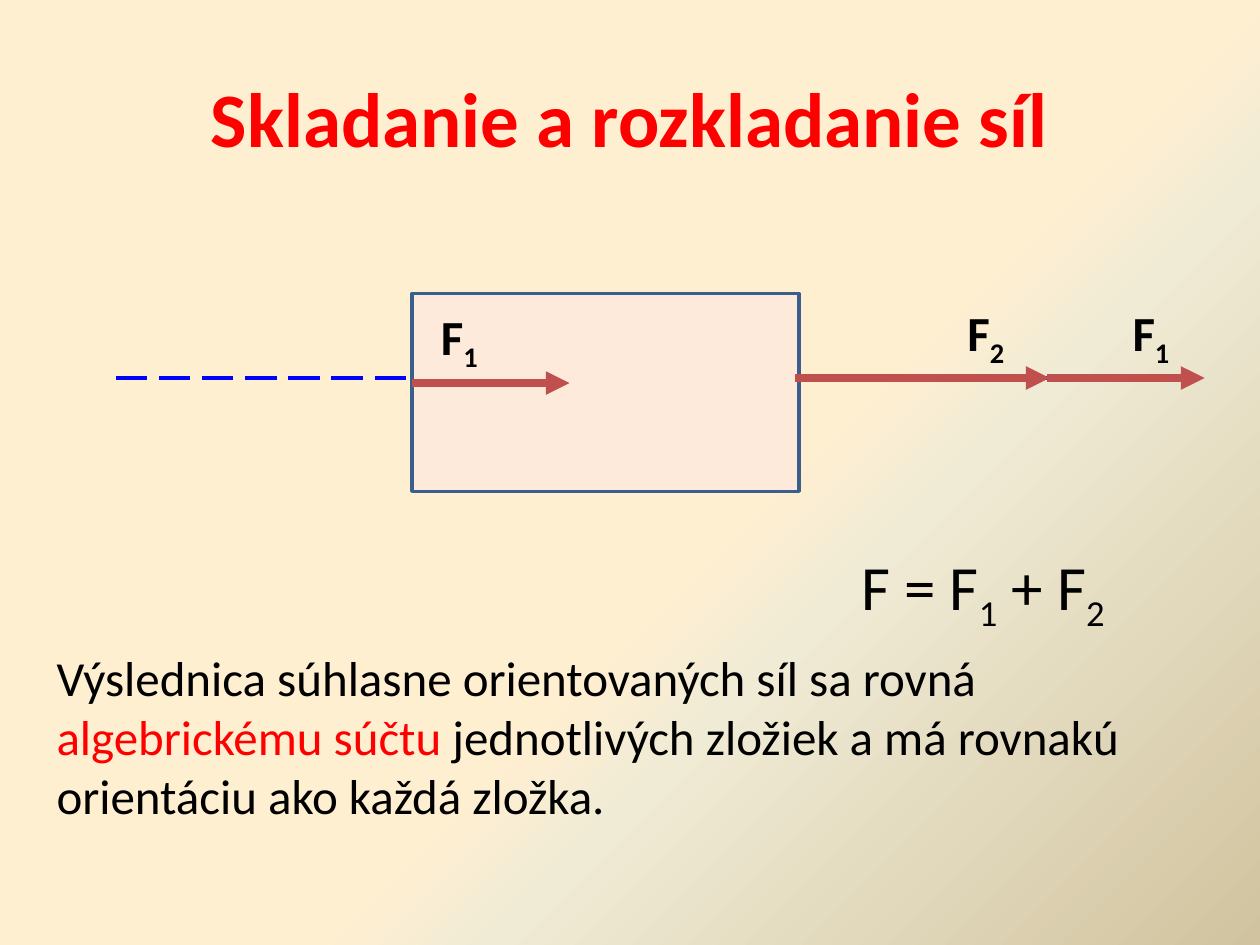
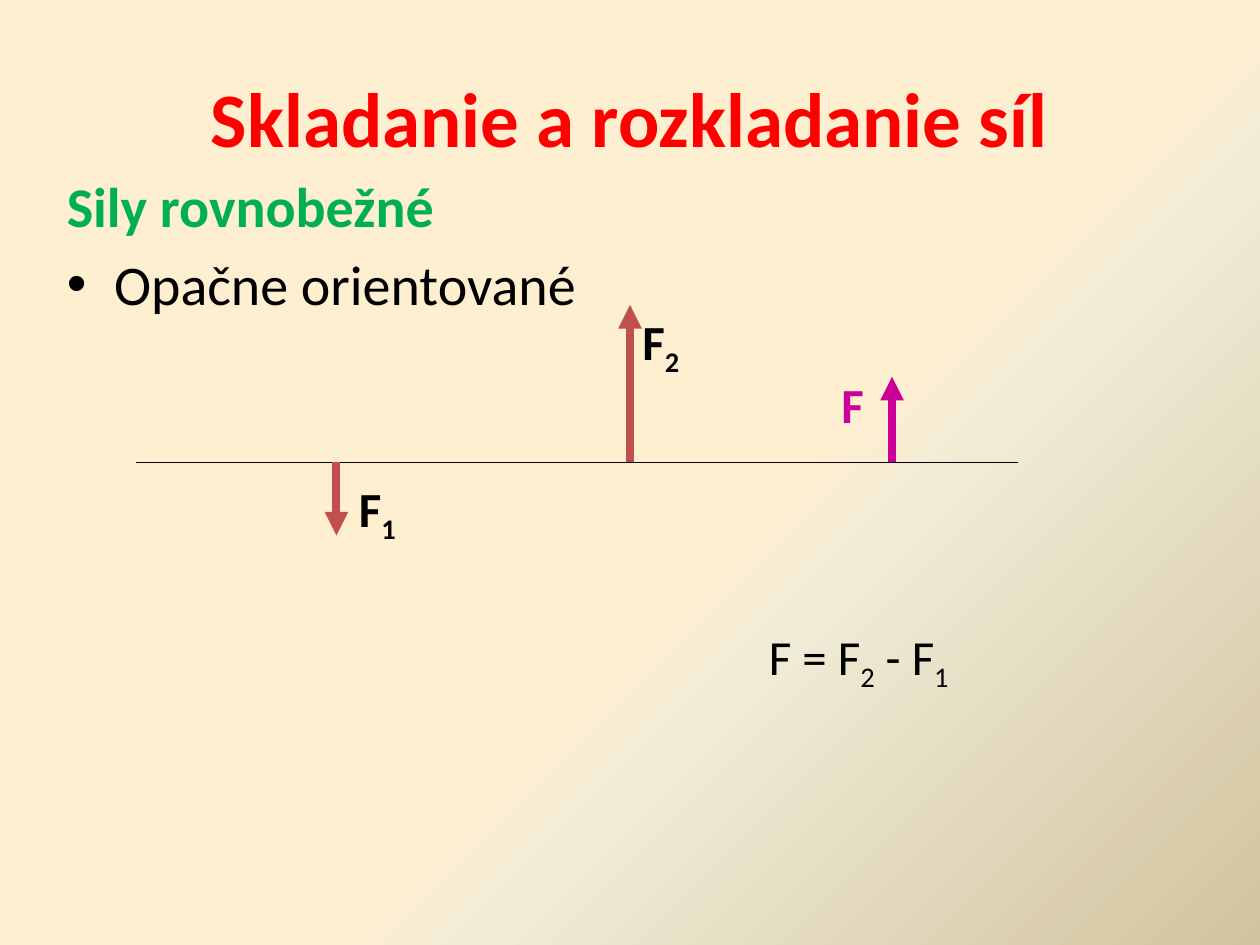
from itertools import groupby

from lxml import etree
from pptx import Presentation
from pptx.dml.color import RGBColor
from pptx.enum.dml import MSO_LINE
from pptx.enum.shapes import MSO_CONNECTOR, MSO_SHAPE
from pptx.enum.text import MSO_ANCHOR, MSO_AUTO_SIZE, PP_ALIGN
from pptx.oxml import parse_xml
from pptx.oxml.ns import nsdecls, qn
from pptx.util import Inches, Pt

STRAIGHT = MSO_CONNECTOR.STRAIGHT
RECTANGLE = MSO_SHAPE.RECTANGLE
LONG_DASH = MSO_LINE.LONG_DASH
CENTER, LEFT = PP_ALIGN.CENTER, PP_ALIGN.LEFT
MIDDLE = MSO_ANCHOR.MIDDLE
GROW = MSO_AUTO_SIZE.SHAPE_TO_FIT_TEXT

FONT = "Calibri"
BLACK, RED, GREEN, BLUE = "000000", "FF0000", "00B050", "0000FF"
FORCE, RESULTANT = "C0504D", "CC0099"
BLOCK_FILL, BLOCK_LINE = "FDEADA", "3A5F8C"
GRADIENT = [(57, "FFEFD1"), (65, "F0EBD5"), (100, "D1C39F")]
TITLE = "Skladanie a rozkladanie síl"
TITLE_AND_BODY, TITLE_ONLY = 1, 5


def color(hex_value):
    return RGBColor.from_string(hex_value)


def set_background(master):
    """Give every slide the diagonal sand gradient."""
    fill = master.background.fill
    fill.gradient()
    fill.gradient_angle = 315
    stops = "".join(
        f'<a:gs pos="{position * 1000}"><a:srgbClr val="{hex_value}"/></a:gs>'
        for position, hex_value in GRADIENT
    )
    stop_list = next(master.element.iter(qn("a:gsLst")))
    stop_list.getparent().replace(
        stop_list, parse_xml(f'<a:gsLst {nsdecls("a")}>{stops}</a:gsLst>')
    )


def format_run(run, size, hex_value=BLACK, bold=False):
    run.font.name = FONT
    run.font.size = Pt(size)
    run.font.bold = bold
    run.font.color.rgb = color(hex_value)


def place(shape, left, top, width, height):
    shape.left, shape.top = Inches(left), Inches(top)
    shape.width, shape.height = Inches(width), Inches(height)


def add_titled_slide(presentation, layout_index):
    slide = presentation.slides.add_slide(presentation.slide_layouts[layout_index])
    title = slide.shapes.title
    place(title, 0.5, 0.3, 9, 1.25)
    title.text_frame.text = TITLE
    title.text_frame.vertical_anchor = MIDDLE
    paragraph = title.text_frame.paragraphs[0]
    paragraph.alignment = CENTER
    format_run(paragraph.runs[0], 44, RED, True)
    return slide


def add_text_box(slide, left, top, width, height, alignment=LEFT):
    """Add a growing, wrapping text box and return its first paragraph."""
    box = slide.shapes.add_textbox(
        Inches(left), Inches(top), Inches(width), Inches(height)
    )
    box.text_frame.word_wrap = True
    box.text_frame.auto_size = GROW
    paragraph = box.text_frame.paragraphs[0]
    paragraph.alignment = alignment
    return paragraph


def add_symbols(paragraph, text, size=28, hex_value=BLACK, bold=False):
    """Write a formula whose digits are subscripts."""
    for is_index, characters in groupby(text, str.isdigit):
        run = paragraph.add_run()
        run.text = "".join(characters)
        format_run(run, size, hex_value, bold)
        if is_index:
            run._r.get_or_add_rPr().set("baseline", "-25000")


def add_force_label(slide, text, left, top, width, hex_value=BLACK):
    paragraph = add_text_box(slide, left, top, width, 0.57)
    add_symbols(paragraph, text, hex_value=hex_value, bold=True)


def add_line(slide, start, end, hex_value, width):
    line = slide.shapes.add_connector(
        STRAIGHT, *(Inches(length) for length in (*start, *end))
    )
    line.line.color.rgb = color(hex_value)
    line.line.width = Pt(width)
    etree.SubElement(line._element.spPr, qn("a:effectLst"))
    return line


def add_force(slide, start, end, hex_value=FORCE):
    arrow = add_line(slide, start, end, hex_value, 4.5)
    etree.SubElement(arrow.line._get_or_add_ln(), qn("a:tailEnd"), type="triangle")


def draw_pulled_block(slide, left, top, width, height):
    """Draw a block on a line of action, with both forces added at its right."""
    axis = top + 0.67
    right = left + width
    action_line = add_line(slide, (left - 2.35, axis), (right + 2.91, axis), BLUE, 2.25)
    action_line.line.dash_style = LONG_DASH

    block = slide.shapes.add_shape(
        RECTANGLE, Inches(left), Inches(top), Inches(width), Inches(height)
    )
    block.shadow.inherit = False
    block.fill.solid()
    block.fill.fore_color.rgb = color(BLOCK_FILL)
    block.line.color.rgb = color(BLOCK_LINE)
    block.line.width = Pt(2)

    for start, length, level in [
        (right + 1.97, 1.25, axis),
        (left, 1.25, axis + 0.04),
        (right - 0.03, 2.02, axis),
    ]:
        add_force(slide, (start, level), (start + length, level))
    add_force_label(slide, "F1", left + 0.13, top + 0.05, 1.08)
    add_force_label(slide, "F2", right + 1.24, top + 0.02, 1)
    add_force_label(slide, "F1", right + 2.55, top + 0.02, 0.64)


def write_rule(slide, left, top, width, height):
    paragraph = add_text_box(slide, left, top, width, height)
    for text, hex_value in [
        ("Výslednica súhlasne orientovaných síl sa rovná ", BLACK),
        ("algebrickému súčtu ", RED),
        ("jednotlivých zložiek a má rovnakú orientáciu ako každá zložka.", BLACK),
    ]:
        run = paragraph.add_run()
        run.text = text
        format_run(run, 28, hex_value)


def fill_body(body, left, top, width, height):
    place(body, left, top, width, height)
    body.text_frame.text = "Sily rovnobežné\nOpačne orientované"
    heading, item = body.text_frame.paragraphs
    heading.space_before = Pt(0)
    etree.SubElement(heading._p.get_or_add_pPr(), qn("a:buNone"))
    format_run(heading.runs[0], 32, GREEN, True)
    format_run(item.runs[0], 32)


def draw_opposite_forces(slide, left, axis, width):
    """Draw two opposite forces and their resultant on a horizontal line."""
    add_line(slide, (left, axis), (left + width, axis), BLACK, 0.75)
    for offset, rise, hex_value in [
        (1.59, -0.58, FORCE),
        (3.92, 1.25, FORCE),
        (6, 0.68, RESULTANT),
    ]:
        position = left + offset
        add_force(slide, (position, axis), (position, axis - rise), hex_value)
    add_force_label(slide, "F1", left + 1.67, axis + 0.08, 1.08)
    add_force_label(slide, "F2", left + 3.92, axis - 1.25, 1)
    add_force_label(slide, "F", left + 5.5, axis - 0.75, 0.42, RESULTANT)


def build_same_direction_slide(presentation):
    slide = add_titled_slide(presentation, TITLE_ONLY)
    draw_pulled_block(slide, 3.27, 2.33, 3.07, 1.57)
    write_rule(slide, 0.35, 5.09, 9.08, 1.5)
    add_symbols(add_text_box(slide, 6.26, 4.3, 3.08, 0.7, CENTER), "F = F1 + F2", 36)


def build_opposite_direction_slide(presentation):
    slide = add_titled_slide(presentation, TITLE_AND_BODY)
    fill_body(slide.placeholders[1], 0.43, 1.31, 9, 4.95)
    draw_opposite_forces(slide, 1.08, 3.67, 7)
    add_symbols(add_text_box(slide, 5.69, 4.92, 2.25, 0.57, CENTER), "F = F2 - F1")


def main():
    presentation = Presentation()
    presentation.slide_width = Inches(10)
    presentation.slide_height = Inches(7.5)
    set_background(presentation.slide_master)
    build_same_direction_slide(presentation)
    build_opposite_direction_slide(presentation)
    presentation.save("out.pptx")


if __name__ == "__main__":
    main()
